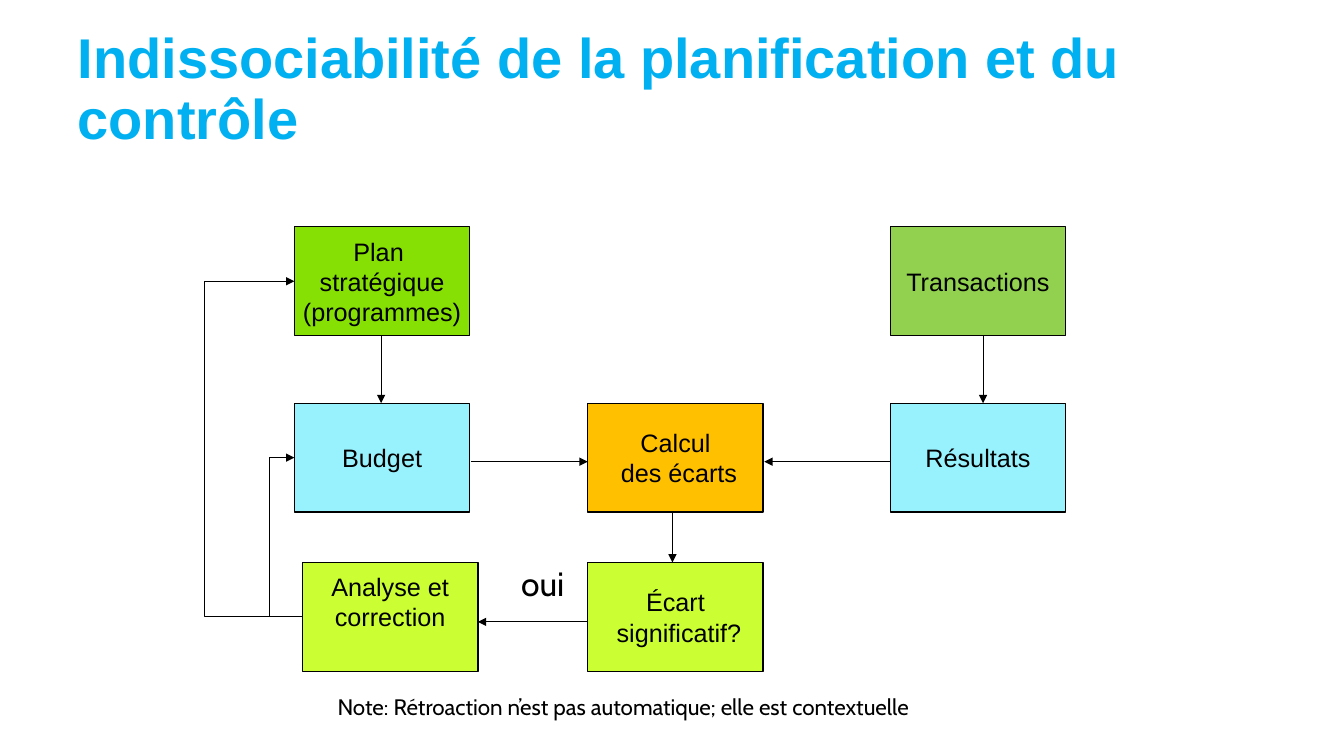
import pptx
import pptx.util
import pptx.dml.color
import pptx.enum.shapes
import pptx.enum.text
import pptx.oxml
import pptx.oxml.ns

PX = 9144  # 100 px to the inch
COLOURS = {
    "title": "00B0F0", "ink": "000000", "plan": "87E004", "data": "98F2FE",
    "check": "CCFF33", "variance": "FFC000", "transactions": "92D050",
}
STEP_WIDTH, STEP_HEIGHT = 174, 108
LEFT, CENTRE, RIGHT = 292, 583, 883
TOP, MIDDLE, BOTTOM = 225, 400, 558
ALIGN = pptx.enum.text.PP_ALIGN
ANCHOR = pptx.enum.text.MSO_ANCHOR
CONNECTOR = pptx.enum.shapes.MSO_CONNECTOR

# left, top, fill, lines of text, bottom inset
STEPS = [
    (LEFT, TOP, "plan", ["Plan ", "stratégique", "(programmes)"], 5),
    (LEFT, MIDDLE, "data", ["Budget"], 5),
    (CENTRE, BOTTOM, "check", ["Écart", " significatif?"], 5),
    (300, BOTTOM, "check", ["Analyse et", "correction"], 35),
    (CENTRE, MIDDLE, "variance", ["Calcul", " des écarts"], 5),
    (RIGHT, MIDDLE, "data", ["Résultats"], 5),
    (RIGHT, TOP, "transactions", ["Transactions"], 5),
]
ARROWS = [
    (975, 333, 975, 400), (883, 458, 758, 458), (667, 508, 667, 558),
    (583, 617, 474, 617), (467, 458, 583, 458), (378, 333, 378, 400),
]
# start x, start y, end x, end y, x of the upright part
FEEDBACK = [(300, 612, 292, 279, 203), (300, 612, 292, 454, 267)]


def px(*lengths):
    return [pptx.util.Emu(length * PX) for length in lengths]


def colour(name):
    return pptx.dml.color.RGBColor.from_string(COLOURS[name])


def write(frame, lines, font, align=ALIGN.LEFT, ink="ink"):
    for index, line in enumerate(lines):
        para = frame.paragraphs[0] if index == 0 else frame.add_paragraph()
        para.alignment = align
        span = para.add_run()
        span.text = line
        for name, value in font.items():
            setattr(span.font, name, value)
        span.font.color.rgb = colour(ink)


def set_values(target, values):
    for name, value in values.items():
        setattr(target, name, value)


def add_title(page, box):
    title = page.shapes.title
    set_values(title, dict(zip(("left", "top", "width", "height"), px(*box))))
    frame = title.text_frame
    set_values(frame, {"word_wrap": True, "vertical_anchor": ANCHOR.BOTTOM,
                       "auto_size": pptx.enum.text.MSO_AUTO_SIZE.NONE})
    font = {"name": "Arial", "size": pptx.util.Pt(40), "bold": True}
    write(frame, ["Indissociabilité de la planification et du contrôle"], font, ink="title")
    frame.paragraphs[0].line_spacing = pptx.util.Pt(44)


def add_step(page, left, top, fill, lines, bottom_inset):
    step = page.shapes.add_shape(pptx.enum.shapes.MSO_SHAPE.RECTANGLE,
                                 *px(left, top, STEP_WIDTH, STEP_HEIGHT))
    step.shadow.inherit = False
    step.fill.solid()
    step.fill.fore_color.rgb = colour(fill)
    step.line.color.rgb = colour("ink")
    step.line.width = pptx.util.Pt(1)
    set_values(step.text_frame, {"word_wrap": False, "vertical_anchor": ANCHOR.MIDDLE,
                                 "margin_bottom": px(bottom_inset)[0]})
    write(step.text_frame, lines, {"name": "Arial", "size": pptx.util.Pt(18)}, ALIGN.CENTER)


def add_arrow(page, kind, ends):
    arrow = page.shapes.add_connector(kind, *px(*ends))
    arrow.line.color.rgb = colour("ink")
    arrow.line.width = pptx.util.Pt(0.75)
    qn = pptx.oxml.ns.qn
    properties = arrow.element.spPr
    line = properties.find(qn("a:ln"))
    line.append(line.makeelement(qn("a:tailEnd"), {"type": "triangle"}))
    properties.append(properties.makeelement(qn("a:effectLst"), {}))
    return arrow


def add_feedback(page, start_x, start_y, end_x, end_y, bend_x):
    # Half a turn makes the path run leftwards and up from its start
    arrow = add_arrow(page, CONNECTOR.ELBOW, (end_x, end_y, start_x, start_y))
    qn = pptx.oxml.ns.qn
    properties = arrow.element.spPr
    properties.find(qn("a:xfrm")).set("rot", "10800000")
    geometry = properties.find(qn("a:prstGeom"))
    guides = geometry.find(qn("a:avLst"))
    if guides is None:
        guides = geometry.makeelement(qn("a:avLst"), {})
        geometry.append(guides)
    bend = round(100000 * (start_x - bend_x) / (start_x - end_x))
    guides.append(guides.makeelement(qn("a:gd"), {"name": "adj1", "fmla": f"val {bend}"}))


def add_label(page, box, text, size, wrap):
    label = page.shapes.add_textbox(*px(*box))
    label.text_frame.word_wrap = wrap
    write(label.text_frame, [text], {"name": "Cabin", "size": pptx.util.Pt(size)})


def add_flowchart(page):
    for step in STEPS:
        add_step(page, *step)
    for ends in ARROWS:
        add_arrow(page, CONNECTOR.STRAIGHT, ends)
    for path_points in FEEDBACK:
        add_feedback(page, *path_points)
    add_label(page, (507, 554, 64, 50), "oui", 24, False)


def main():
    deck = pptx.Presentation()
    deck.slide_width, deck.slide_height = px(1333, 750)
    page = deck.slides.add_slide(deck.slide_layouts[5])
    # Heading
    add_title(page, (67, 13, 1100, 142))
    # Planning and control loop
    add_flowchart(page)
    # Footnote
    add_label(page, (325, 683, 754, 37),
              "Note: Rétroaction n’est pas automatique; elle est contextuelle", 16, True)
    deck.save("out.pptx")


if __name__ == "__main__":
    main()
